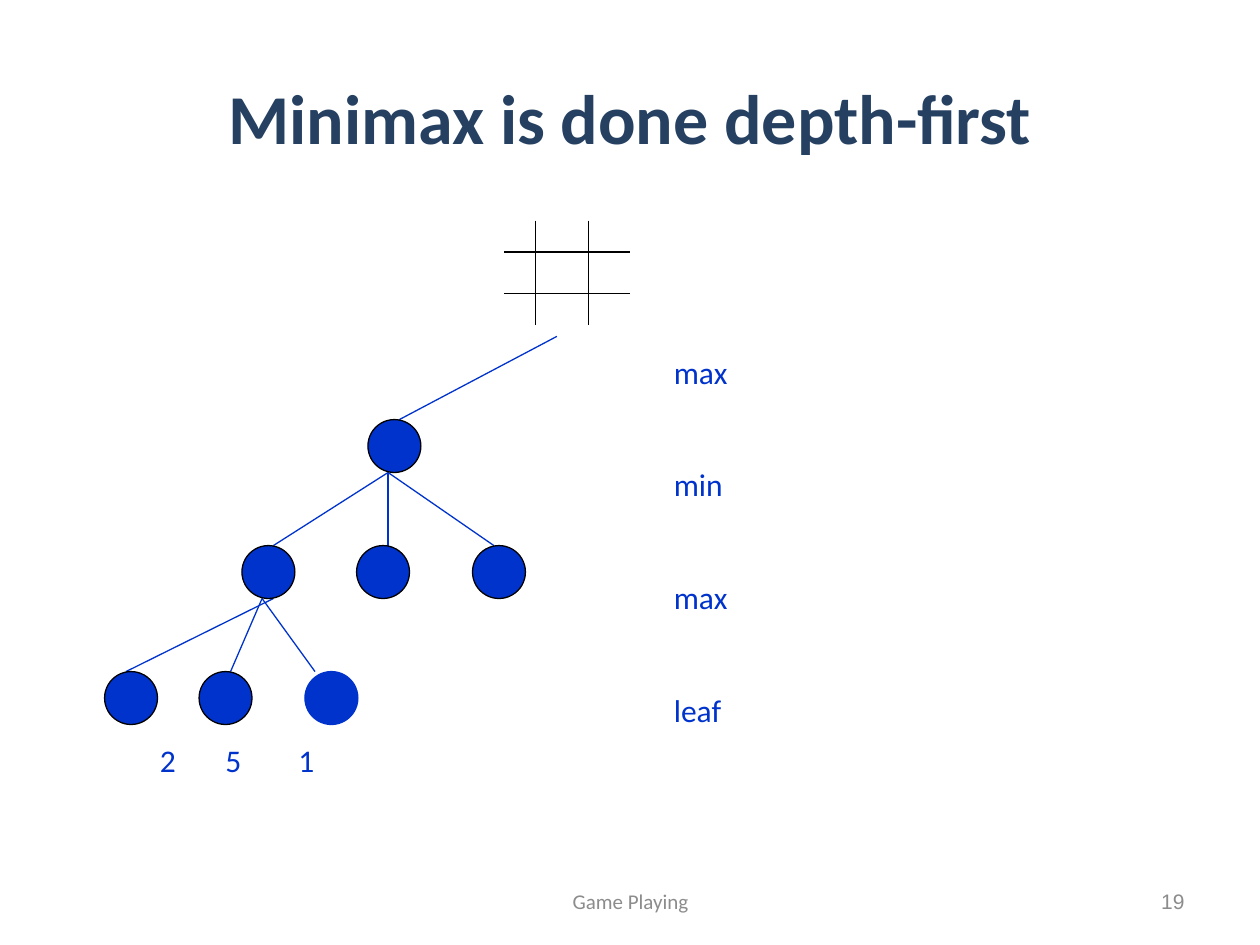
from lxml.etree import SubElement
from pptx import Presentation
from pptx.dml.color import RGBColor
from pptx.enum.shapes import MSO_CONNECTOR, MSO_SHAPE
from pptx.enum.text import MSO_ANCHOR, PP_ALIGN
from pptx.oxml.ns import qn
from pptx.util import Inches, Pt

BLUE, BLACK, NAVY, GRAY = "0033CC", "000000", "254061", "8C8C8C"
NODE = 0.42

LEVELS = ["max", "min", "max", "leaf"]
LEAF_VALUES = ["2", "5", "1"]
VALUE_TABS = [0.52, 1.1]

BOARD_LINES = [((x, 1.75), (x, 2.58)) for x in (4.25, 4.67)]
BOARD_LINES += [((4, y), (5, y)) for y in (2, 2.33)]
EDGES = [
    ((4.42, 2.67), (3.17, 3.33)),
    ((3.08, 3.75), (2.17, 4.33)),
    ((3.08, 3.75), (3.08, 4.33)),
    ((3.08, 3.75), (3.92, 4.33)),
    ((2.17, 4.75), (1, 5.33)),
    ((2.08, 4.75), (1.83, 5.33)),
    ((2.08, 4.75), (2.5, 5.33)),
]
# top of each row: (left, outline) of its nodes
NODE_ROWS = {
    3.33: [(2.92, BLACK)],
    4.33: [(1.92, BLACK), (2.83, BLACK), (3.75, BLACK)],
    5.33: [(0.83, BLACK), (1.58, BLACK), (2.42, BLUE)],
}


def rgb(value):
    return RGBColor.from_string(value)


def add_line(s, start, end, color):
    line = s.shapes.add_connector(
        MSO_CONNECTOR.STRAIGHT, *(Inches(v) for v in start + end))
    line.line.color.rgb = rgb(color)
    line.line.width = Pt(0.75)
    SubElement(line._element.spPr, qn("a:effectLst"))


def add_node(s, left, top, outline):
    node = s.shapes.add_shape(MSO_SHAPE.OVAL, Inches(left), Inches(top),
                              Inches(NODE), Inches(NODE))
    node.shadow.inherit = False
    node.fill.solid()
    node.fill.fore_color.rgb = rgb(BLUE)
    node.line.color.rgb = rgb(outline)
    node.line.width = Pt(0.75)


def add_text(s, box, lines, size, color, font="Calibri", bold=False,
             align=PP_ALIGN.LEFT, anchor=MSO_ANCHOR.TOP, gap=0, tabs=()):
    tf = s.shapes.add_textbox(*(Inches(v) for v in box)).text_frame
    tf.word_wrap = True
    tf.vertical_anchor = anchor
    for i, line in enumerate(lines):
        p = tf.paragraphs[0] if i == 0 else tf.add_paragraph()
        p.text = line
        p.alignment = align
        if i:
            p.space_before = Pt(gap)
        if tabs:
            tab_list = SubElement(p._p.get_or_add_pPr(), qn("a:tabLst"))
            for pos in tabs:
                SubElement(tab_list, qn("a:tab"), pos=str(Inches(pos)), algn="l")
        p.font.name = font
        p.font.size = Pt(size)
        p.font.bold = bold
        p.font.color.rgb = rgb(color)


def main():
    prs = Presentation()
    prs.slide_width, prs.slide_height = Inches(10), Inches(7.5)
    s = prs.slides.add_slide(prs.slide_layouts[6])

    add_text(s, (0.5, 0.3, 9, 1.25), ["Minimax is done depth-first"], 40, NAVY,
             bold=True, align=PP_ALIGN.CENTER, anchor=MSO_ANCHOR.MIDDLE)
    for start, end in BOARD_LINES:
        add_line(s, start, end, BLACK)
    for start, end in EDGES:
        add_line(s, start, end, BLUE)
    for top, nodes in NODE_ROWS.items():
        for left, outline in nodes:
            add_node(s, left, top, outline)

    add_text(s, (5.25, 2.75, 0.83, 4.09), LEVELS, 18, BLUE, gap=42.8)
    add_text(s, (1.17, 5.83, 2.14, 0.5), ["\t".join(LEAF_VALUES)], 18, BLUE,
             tabs=VALUE_TABS)
    add_text(s, (3.42, 6.95, 3.17, 0.4), ["Game Playing"], 12, GRAY,
             align=PP_ALIGN.CENTER, anchor=MSO_ANCHOR.MIDDLE)
    add_text(s, (7.17, 6.95, 2.33, 0.4), ["19"], 12, GRAY, font="Arial",
             align=PP_ALIGN.RIGHT, anchor=MSO_ANCHOR.MIDDLE)
    prs.save("out.pptx")


if __name__ == "__main__":
    main()
